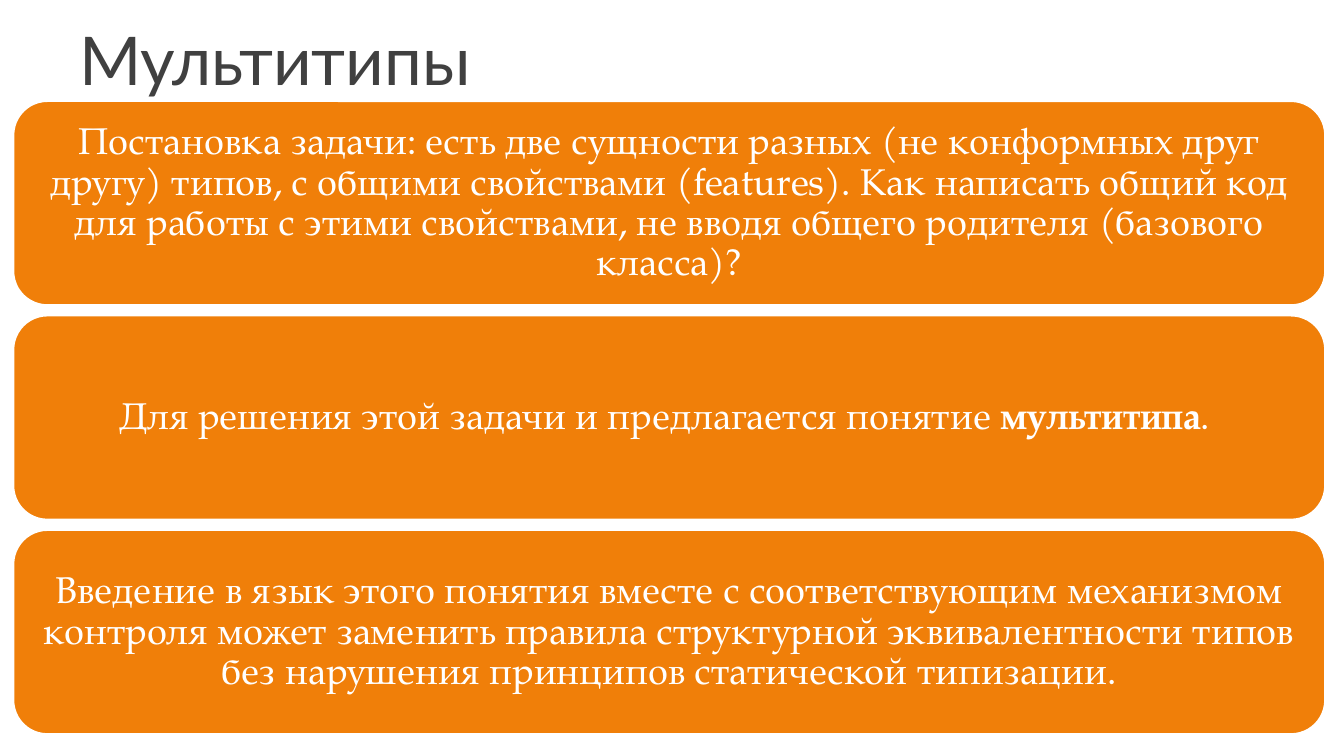
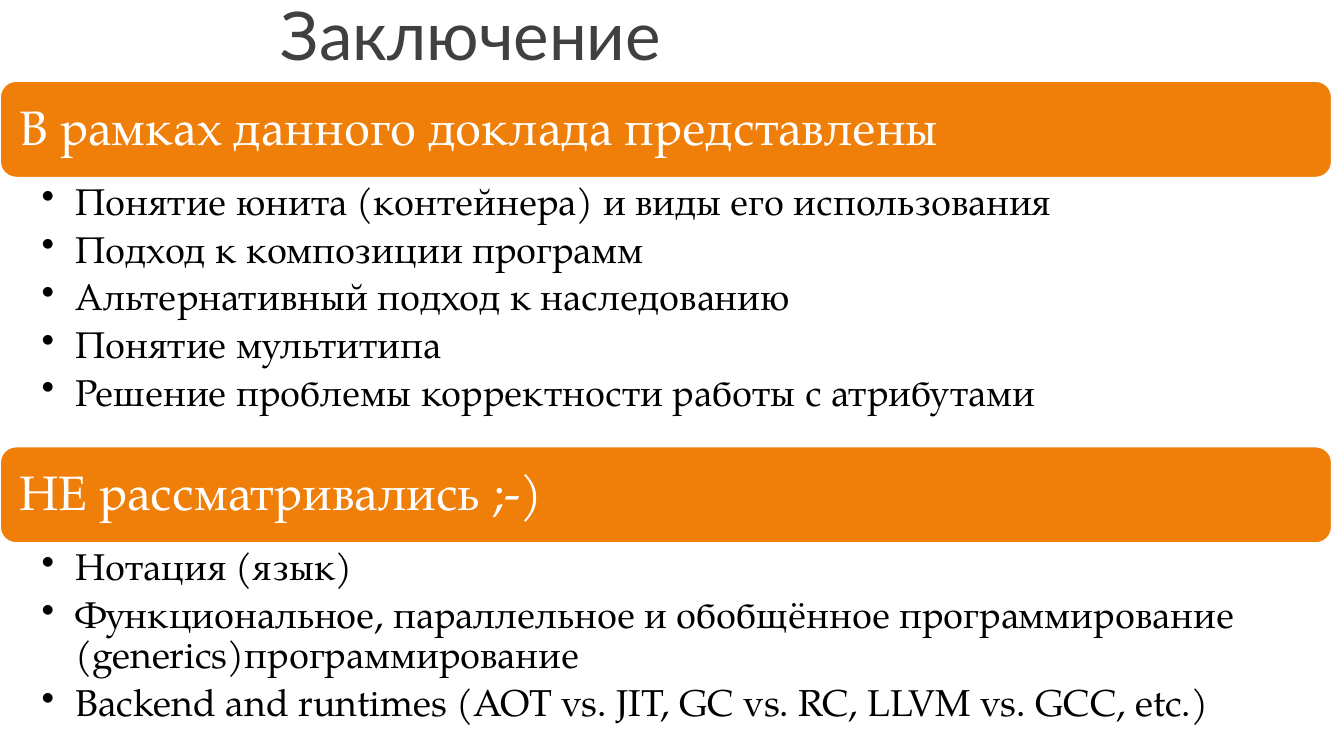
from dataclasses import dataclass

from lxml import etree
from pptx import Presentation
from pptx.dml.color import RGBColor
from pptx.enum import shapes, text
from pptx.oxml.ns import qn
from pptx.util import Pt


@dataclass(frozen=True)
class Theme:
    """Colours, fonts and type sizes shared by the slides."""
    accent: str = "F07F09"
    title: str = "404040"
    light: str = "FFFFFF"
    dark: str = "000000"
    head_font: str = "Lato"
    body_font: str = "TeX Gyre Pagella"
    title_size: float = 36
    band_size: float = 26
    body_size: float = 20


T = Theme()
LEFT, CENTER = text.PP_ALIGN.LEFT, text.PP_ALIGN.CENTER
TOP, MIDDLE, BOTTOM = text.MSO_ANCHOR.TOP, text.MSO_ANCHOR.MIDDLE, text.MSO_ANCHOR.BOTTOM

CARDS = [
    [("Постановка задачи: есть две сущности разных (не конформных друг другу) типов, "
      "с общими свойствами (features). Как написать общий код для работы с этими "
      "свойствами, не вводя общего родителя (базового класса)?", False)],
    [("Для решения этой задачи и предлагается понятие ", False),
     ("мультитипа", True), (". ", False)],
    [("Введение в язык этого понятия вместе с соответствующим механизмом контроля может "
      "заменить правила структурной эквивалентности типов без нарушения принципов "
      "статической типизации.", False)],
]

SECTIONS = [
    ("В рамках данного доклада представлены ", 144, [
        "Понятие юнита (контейнера) и виды его использования",
        "Подход к композиции программ",
        "Альтернативный подход к наследованию",
        "Понятие мультитипа",
        "Решение проблемы корректности работы с атрибутами"]),
    ("НЕ рассматривались ;-)", 103.7, [
        "Нотация (язык)",
        "Функциональное, параллельное и обобщённое программирование "
        "(generics)программирование",
        "Backend and runtimes (AOT vs. JIT, GC vs. RC, LLVM vs. GCC, etc.)"]),
]


def apply(obj, **values):
    """Set each named attribute on an object."""
    for name, value in values.items():
        setattr(obj, name, value)


def set_frame(tf, anchor, insets):
    """Format a text frame; insets run left, top, right, bottom."""
    left, top, right, bottom = map(Pt, insets)
    apply(tf, word_wrap=True, auto_size=text.MSO_AUTO_SIZE.NONE, vertical_anchor=anchor,
          margin_left=left, margin_top=top, margin_right=right, margin_bottom=bottom)


def write(p, runs, size, color, font=T.body_font, **layout):
    """Fill a paragraph with (text, bold) runs."""
    apply(p, **layout)
    for words, bold in runs:
        r = p.add_run()
        r.text = words
        apply(r.font, name=font, size=Pt(size), bold=bold)
        r.font.color.rgb = RGBColor.from_string(color)


def add_bullet(p, indent):
    """Give a paragraph a hanging bullet."""
    pPr = p._p.get_or_add_pPr()
    pPr.set("marL", str(Pt(indent)))
    pPr.set("indent", str(-Pt(indent)))
    etree.SubElement(pPr, qn("a:buChar")).set("char", "•")


def add_slide(prs, title, box):
    """Add a title-only slide with its title placed in the box."""
    slide = prs.slides.add_slide(prs.slide_layouts[5])
    sp = slide.shapes.title
    apply(sp, **dict(zip(("left", "top", "width", "height"), map(Pt, box))))
    set_frame(sp.text_frame, BOTTOM, (7.2, 3.6, 7.2, 7.2))
    write(sp.text_frame.paragraphs[0], [(title, False)], T.title_size, T.title,
          T.head_font, alignment=LEFT)
    return slide


def add_panel(slide, box, runs, size, inset, align):
    """Add a rounded accent panel holding one paragraph."""
    sp = slide.shapes.add_shape(shapes.MSO_SHAPE.ROUNDED_RECTANGLE, *map(Pt, box))
    sp.shadow.inherit = False
    sp.fill.solid()
    sp.fill.fore_color.rgb = RGBColor.from_string(T.accent)
    sp.line.color.rgb = RGBColor.from_string(T.light)
    sp.line.width = Pt(1)
    set_frame(sp.text_frame, MIDDLE, inset)
    write(sp.text_frame.paragraphs[0], runs, size, T.light,
          alignment=align, line_spacing=0.9)


def add_list(slide, box, items):
    """Add a text box with one bulleted paragraph per item."""
    tf = slide.shapes.add_textbox(*map(Pt, box)).text_frame
    set_frame(tf, TOP, (22.3, 2.9, 14.4, 2.9))
    for i, item in enumerate(items):
        p = tf.add_paragraph() if i else tf.paragraphs[0]
        write(p, [(item, False)], T.body_size, T.dark, level=1, alignment=LEFT,
              line_spacing=0.9, space_after=Pt(4))
        add_bullet(p, 18)


def multitypes(prs):
    """Build the slide of three stacked statements."""
    slide = add_slide(prs, "Мультитипы", (35.3, 0, 648, 60.5))
    height, gap = 109.3, 5.6
    for i, runs in enumerate(CARDS):
        add_panel(slide, (7.2, 54.2 + i * (height + gap), 702.7, height), runs,
                  T.body_size, (5.8, 2.9, 5.8, 2.9), CENTER)


def conclusion(prs):
    """Build the slide of headed bullet lists."""
    slide = add_slide(prs, "Заключение", (143.3, -13.7, 432.7, 60.5))
    top, width, band = 43.4, 713.5, 51.8
    for heading, height, items in SECTIONS:
        add_panel(slide, (0, top, width, band), [(heading, False)],
                  T.band_size, (7.9,) * 4, LEFT)
        add_list(slide, (0, top + band, width, height), items)
        top += band + height


def main():
    """Build and save the presentation."""
    prs = Presentation()
    apply(prs, slide_width=Pt(720), slide_height=Pt(405))
    multitypes(prs)
    conclusion(prs)
    prs.save("out.pptx")


main()
